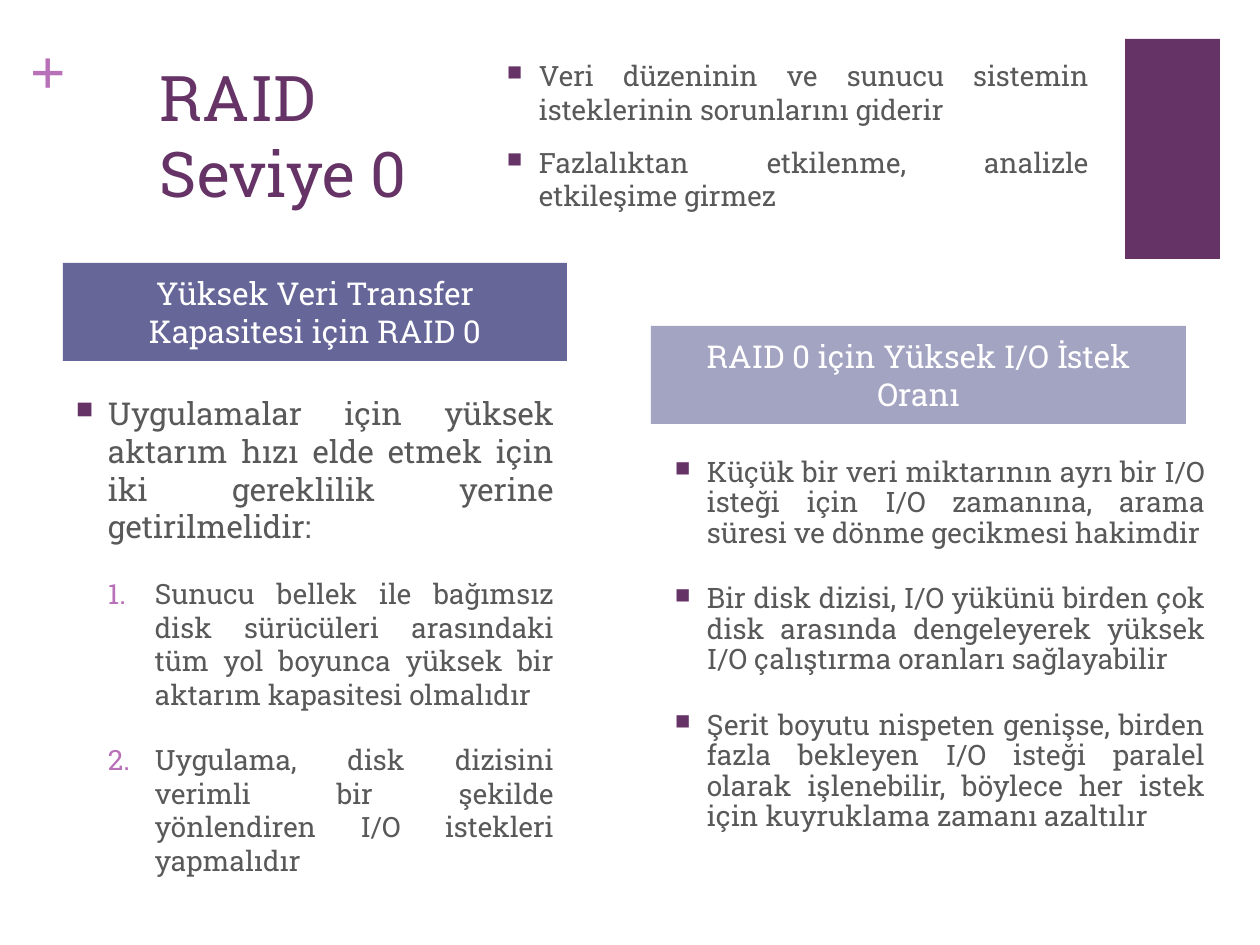
import pptx
import pptx.dml.color
import pptx.enum.shapes
import pptx.enum.text
import pptx.oxml
import pptx.oxml.ns
import pptx.util

EMU_PER_PX = 914400 / 126
FONT = "Roboto Slab"
PURPLE, ORCHID, GREY, WHITE = "663366", "B870B8", "595959", "FFFFFF"
ALIGN = pptx.enum.text.PP_ALIGN
ANCHOR = pptx.enum.text.MSO_ANCHOR

INTRO = [
    "Veri düzeninin ve sunucu sistemin isteklerinin sorunlarını giderir",
    "Fazlalıktan etkilenme, analizle etkileşime girmez",
]
TRANSFER = "Uygulamalar için yüksek aktarım hızı elde etmek için iki gereklilik yerine getirilmelidir:"
REQUIREMENTS = [
    "Sunucu bellek ile bağımsız disk sürücüleri arasındaki tüm yol boyunca yüksek bir aktarım kapasitesi olmalıdır",
    "Uygulama, disk dizisini verimli bir şekilde yönlendiren I/O istekleri yapmalıdır",
]
REQUESTS = [
    "Küçük bir veri miktarının ayrı bir I/O isteği için I/O zamanına, arama süresi ve dönme gecikmesi hakimdir",
    "Bir disk dizisi, I/O yükünü birden çok disk arasında dengeleyerek yüksek I/O çalıştırma oranları sağlayabilir",
    "Şerit boyutu nispeten genişse, birden fazla bekleyen I/O isteği paralel olarak işlenebilir, "
    "böylece her istek için kuyruklama zamanı azaltılır",
]


def px(n):
    return pptx.util.Emu(round(n * EMU_PER_PX))


def rgb(color):
    return pptx.dml.color.RGBColor.from_string(color)


def apply(obj, values):
    for name, value in values.items():
        setattr(obj, name, value)


def style(p, size, color, align, font=FONT, bold=False):
    p.alignment = align
    for r in p.runs:
        apply(r.font, {"name": font, "size": pptx.util.Pt(size), "bold": bold})
        r.font.color.rgb = rgb(color)


def frame(tf, inset_x=13, inset_y=6, anchor=ANCHOR.TOP):
    apply(tf, {
        "word_wrap": True, "auto_size": pptx.enum.text.MSO_AUTO_SIZE.NONE,
        "vertical_anchor": anchor,
        "margin_left": px(inset_x), "margin_right": px(inset_x),
        "margin_top": px(inset_y), "margin_bottom": px(inset_y),
    })


def add_text_box(s, box, **frame_values):
    tf = s.shapes.add_textbox(*map(px, box)).text_frame
    frame(tf, **frame_values)
    return tf


def add_rect(s, box, fill):
    sp = s.shapes.add_shape(pptx.enum.shapes.MSO_SHAPE.RECTANGLE, *map(px, box))
    sp.shadow.inherit = False
    sp.fill.solid()
    sp.fill.fore_color.rgb = rgb(fill)
    sp.line.fill.background()
    return sp


def add_banner(s, box, fill, text):
    tf = add_rect(s, box, fill).text_frame
    frame(tf, inset_y=0, anchor=ANCHOR.MIDDLE)
    tf.text = text
    style(tf.paragraphs[0], 18, WHITE, ALIGN.CENTER)


def add_marker(p, numbered):
    left, hang = (79, 47) if numbered else (32, 32)
    color = ORCHID if numbered else PURPLE
    marker = ('<a:buFont typeface="+mj-lt"/><a:buAutoNum type="arabicPeriod"/>' if numbered
              else '<a:buSzPct val="75000"/><a:buChar char="■"/>')
    pPr = p._p.get_or_add_pPr()
    pPr.set("marL", str(px(left)))
    pPr.set("indent", str(-px(hang)))
    xml = (f'<a:pPr {pptx.oxml.ns.nsdecls("a")}><a:buClr><a:srgbClr val="{color}"/></a:buClr>'
           f'{marker}</a:pPr>')
    for child in list(pptx.oxml.parse_xml(xml)):
        pPr.append(child)


def add_item(tf, text, size, before=0, after=0, spacing=None, numbered=False):
    first = not tf.text
    p = tf.paragraphs[0] if first else tf.add_paragraph()
    p.text = text
    add_marker(p, numbered)
    apply(p, {
        "level": int(numbered), "line_spacing": spacing,
        "space_before": pptx.util.Pt(0 if first else before),
        "space_after": pptx.util.Pt(after),
    })
    style(p, size, GREY, ALIGN.JUSTIFY)


def add_title(s, box, text):
    sp = s.shapes.title
    apply(sp, dict(zip(("left", "top", "width", "height"), map(px, box))))
    frame(sp.text_frame)
    sp.text_frame.text = text
    style(sp.text_frame.paragraphs[0], 36, PURPLE, ALIGN.LEFT)


def main():
    prs = pptx.Presentation()
    prs.slide_width, prs.slide_height = px(1260), px(945)
    s = prs.slides.add_slide(prs.slide_layouts[5])

    # Decoration and title
    add_rect(s, (1125, 39, 95, 220), PURPLE)
    plus = add_text_box(s, (30, 32, 37, 77), inset_x=0, inset_y=0)
    plus.text = "+"
    style(plus.paragraphs[0], 36, ORCHID, ALIGN.LEFT, "Times New Roman", True)
    add_title(s, (147, 53, 284, 154), "RAID \vSeviye 0")

    # Introduction
    tf = add_text_box(s, (494, 53, 608, 168))
    for text in INTRO:
        add_item(tf, text, 16, before=11)

    # High transfer capacity
    add_banner(s, (63, 263, 504, 98), "666699", "Yüksek Veri Transfer Kapasitesi için RAID 0")
    tf = add_text_box(s, (63, 388, 504, 520))
    add_item(tf, TRANSFER, 18, after=12)
    for text in REQUIREMENTS:
        add_item(tf, text, 16, before=6, after=12, numbered=True)

    # High request rate
    add_banner(s, (651, 326, 535, 98), "A3A3C2", "RAID 0 için Yüksek I/O İstek Oranı")
    tf = add_text_box(s, (662, 452, 556, 437))
    for text in REQUESTS:
        add_item(tf, text, 16.1, before=20, spacing=0.9)

    prs.save("out.pptx")


if __name__ == "__main__":
    main()
